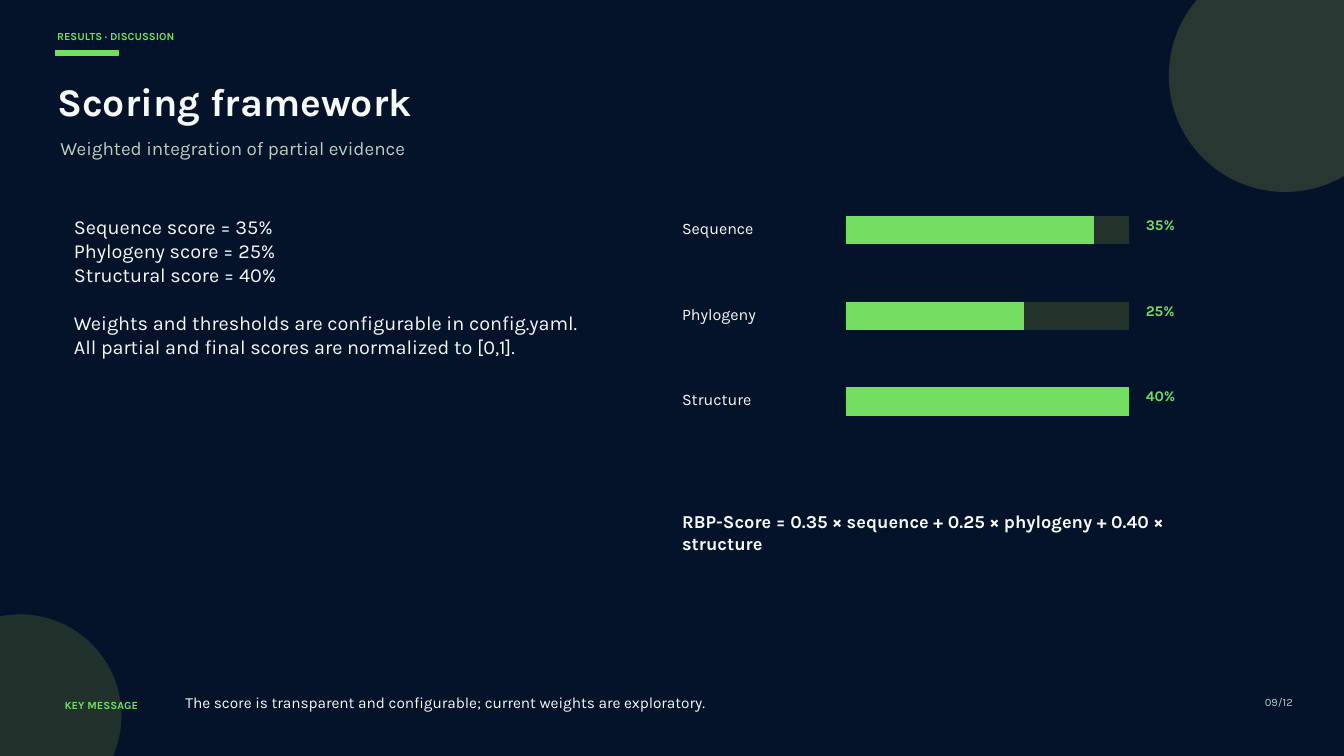
import pptx
import pptx.dml.color
import pptx.enum.shapes
import pptx.enum.text
import pptx.oxml
import pptx.oxml.ns
import pptx.util
from pptx.util import Inches

FONT = "Karla"
NIGHT, GREEN, WHITE, GREY = "05132A", "74DE62", "F6FAF7", "BECDC3"
TRACK, TOP_CIRCLE, BOTTOM_CIRCLE = "23322A", "283732", "21322D"

SCORES = [("Sequence", 35), ("Phylogeny", 25), ("Structure", 40)]
WEIGHT_NOTES = [
    "Sequence score = 35%",
    "Phylogeny score = 25%",
    "Structural score = 40%",
    "Weights and thresholds are configurable in config.yaml.",
    "All partial and final scores are normalized to [0,1].",
]


def color(hex_string):
    return pptx.dml.color.RGBColor.from_string(hex_string)


def write(frame, lines, size, leading, hex_color, bold=False, align="LEFT"):
    """Fill a text frame with equally formatted paragraphs."""
    frame.word_wrap = True
    frame.auto_size = pptx.enum.text.MSO_AUTO_SIZE.NONE
    frame.vertical_anchor = pptx.enum.text.MSO_ANCHOR.TOP
    frame.margin_left = frame.margin_right = 0
    frame.margin_top = frame.margin_bottom = 0
    for i, line in enumerate(lines):
        paragraph = frame.paragraphs[0] if i == 0 else frame.add_paragraph()
        paragraph.text = line
        paragraph.alignment = getattr(pptx.enum.text.PP_ALIGN, align)
        paragraph.line_spacing = pptx.util.Pt(leading)
        paragraph.space_before = pptx.util.Pt(0)
        properties = paragraph._p.get_or_add_pPr()
        properties.set("marL", "0")
        properties.set("indent", "0")
        properties.append(pptx.oxml.parse_xml(
            f"<a:buNone {pptx.oxml.ns.nsdecls('a')}/>"))
        font = paragraph.font
        font.name, font.size, font.bold = FONT, pptx.util.Pt(size), bold
        font.color.rgb = color(hex_color)


def add_label(slide, box, text, size, leading, hex_color, **style):
    label = slide.shapes.add_textbox(*map(Inches, box))
    write(label.text_frame, [text], size, leading, hex_color, **style)


def fill_placeholder(placeholder, box, lines, *style, **options):
    placeholder.left, placeholder.top, placeholder.width, placeholder.height = map(Inches, box)
    write(placeholder.text_frame, lines, *style, **options)


def add_solid(slide, kind, box, hex_color):
    preset = getattr(pptx.enum.shapes.MSO_SHAPE, kind)
    solid = slide.shapes.add_shape(preset, *map(Inches, box))
    solid.shadow.inherit = False
    solid.fill.solid()
    solid.fill.fore_color.rgb = color(hex_color)
    solid.line.color.rgb = color(hex_color)
    solid.line.width = pptx.util.Pt(1)


def add_backdrop(slide):
    slide.background.fill.solid()
    slide.background.fill.fore_color.rgb = color(NIGHT)
    add_solid(slide, "OVAL", (17.4, -0.6, 3.45, 3.45), TOP_CIRCLE)
    add_solid(slide, "OVAL", (-1.2, 9.15, 3, 3), BOTTOM_CIRCLE)


def add_header(slide, left, top, width):
    add_solid(slide, "RECTANGLE", (left - 0.03, top + 0.31, 0.94, 0.08), GREEN)
    add_label(slide, (left, top, 6.69, 0.26), "RESULTS · DISCUSSION",
              11.6, 13.9, GREEN, bold=True)
    fill_placeholder(slide.shapes.title, (left, top + 0.71, width, 0.83),
                     ["Scoring framework"], 42, 50.4, WHITE, bold=True)
    add_label(slide, (left + 0.05, top + 1.59, width, 0.53),
              "Weighted integration of partial evidence", 20.2, 24.3, GREY)


def add_weight_notes(slide, box):
    body = slide.placeholders[1]
    fill_placeholder(body, box, WEIGHT_NOTES, 21.3, 25.6, WHITE)
    # One line of space separates the scores from the remarks
    body.text_frame.paragraphs[3].space_before = pptx.util.Pt(25.6)


def add_score_bars(slide, left, top, pitch):
    bar_left, bar_width, bar_height = left + 2.45, 4.2, 0.41
    largest = max(score for _, score in SCORES)
    for row, (name, score) in enumerate(SCORES):
        y = top + row * pitch
        add_label(slide, (left, y + 0.03, 2.19, 0.34), name, 17.2, 20.7, WHITE)
        for width, fill in ((bar_width, TRACK), (bar_width * score / largest, GREEN)):
            add_solid(slide, "RECTANGLE", (bar_left, y, width, bar_height), fill)
        add_label(slide, (bar_left + bar_width + 0.25, y - 0.01, 0.69, 0.34),
                  f"{score}%", 15.8, 18.9, GREEN, bold=True)


def add_formula(slide, box):
    add_label(slide, box,
              "RBP-Score = 0.35 × sequence + 0.25 × phylogeny + 0.40 × structure",
              19.5, 23.4, WHITE, bold=True)


def add_footer(slide, left, top):
    add_label(slide, (left, top + 0.08, 2.12, 0.24), "KEY MESSAGE",
              11.7, 14, GREEN, bold=True)
    add_label(slide, (left + 1.8, top, 15.4, 0.41),
              "The score is transparent and configurable; current weights are exploratory.",
              16.5, 19.8, WHITE)
    add_label(slide, (left + 17.29, top + 0.03, 0.99, 0.23), "09/12",
              12, 14.4, GREY, align="RIGHT")


def main():
    deck = pptx.Presentation()
    deck.slide_width, deck.slide_height = Inches(20), Inches(11.25)
    slide = deck.slides.add_slide(deck.slide_layouts[1])
    add_backdrop(slide)
    add_header(slide, 0.85, 0.44, 16.14)
    add_weight_notes(slide, (1.1, 3.2, 7.56, 2.12))
    add_score_bars(slide, 10.15, 3.22, 1.275)
    add_formula(slide, (10.15, 7.59, 8.04, 0.79))
    add_footer(slide, 0.96, 10.31)
    deck.save("out.pptx")


if __name__ == "__main__":
    main()
